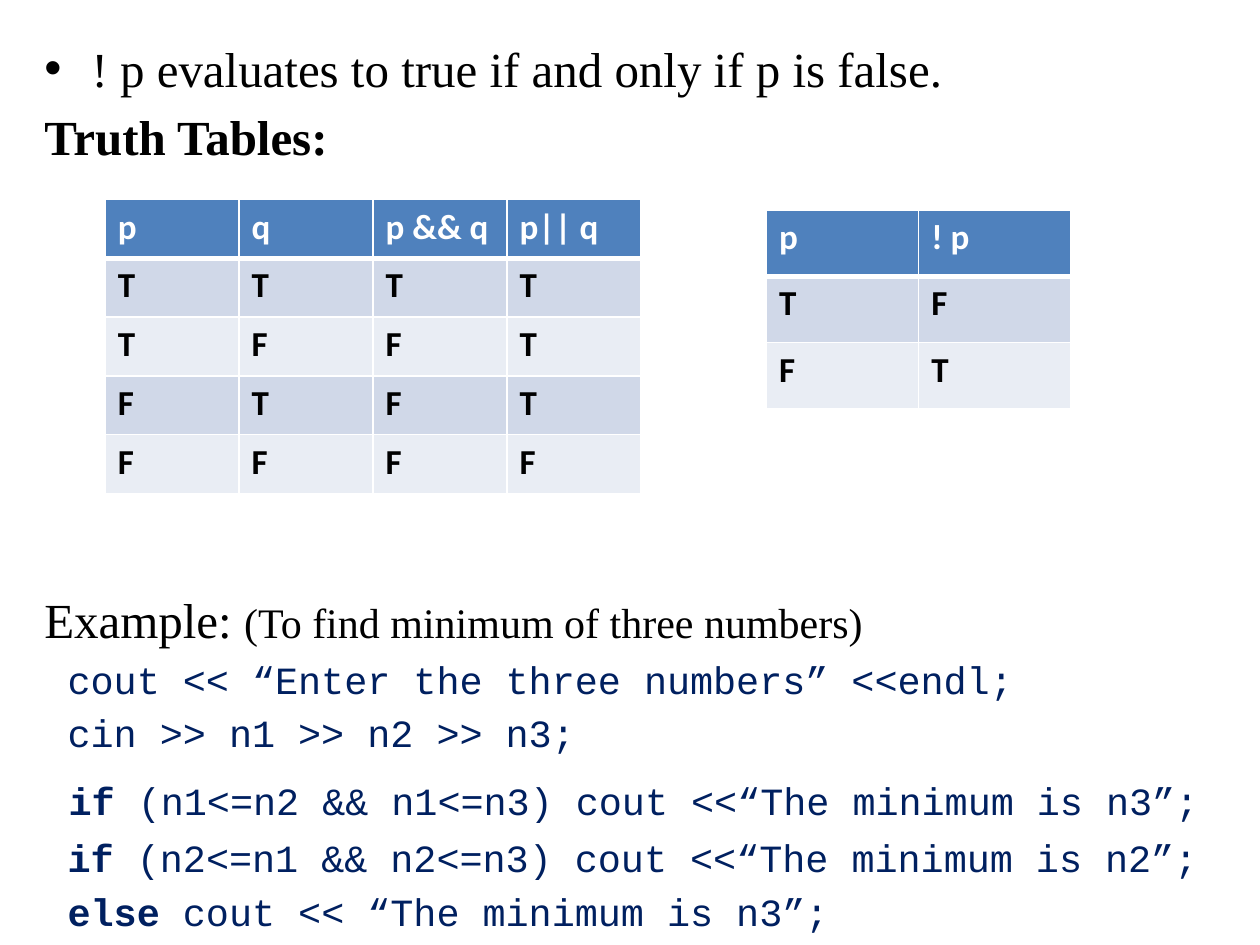
import pptx
import pptx.enum.text
import pptx.util
import pptx.dml.color
import pptx.oxml.ns
import lxml.etree

Cm, Pt = pptx.util.Cm, pptx.util.Pt
qn = pptx.oxml.ns.qn
COLORS = {"black": "000000", "white": "FFFFFF", "code": "002060",
          "header": "4F81BD", "odd": "D0D8E8", "even": "E9EDF4"}
SERIF, MONO, SANS = "Times New Roman", "Courier New", "Calibri"


def style_run(r, font, size, color, bold=False):
    r.font.name = font
    r.font.size = Pt(size)
    r.font.bold = bold
    r.font.color.rgb = pptx.dml.color.RGBColor.from_string(COLORS[color])


def add_truth_table(s, rows, left, top, width, height):
    shape = s.shapes.add_table(len(rows), len(rows[0]), Cm(left), Cm(top),
                               Cm(width), Cm(height))
    for i, row in enumerate(rows):
        fill = "header" if i == 0 else ("odd" if i % 2 else "even")
        for j, text in enumerate(row):
            cell = shape.table.cell(i, j)
            cell.text = text
            style_run(cell.text_frame.paragraphs[0].runs[0], SANS, 20,
                      "black" if i else "white", True)
            # White borders, with a thicker rule around the header's foot
            tcPr = cell._tc.get_or_add_tcPr()
            for side in ("lnL", "lnR", "lnT", "lnB"):
                thick = (i, side) in ((0, "lnB"), (1, "lnT"))
                ln = lxml.etree.SubElement(tcPr, qn("a:" + side),
                                           w=str(Pt(3 if thick else 1)))
                solid = lxml.etree.SubElement(ln, qn("a:solidFill"))
                lxml.etree.SubElement(solid, qn("a:srgbClr"), val=COLORS["white"])
            cell.fill.solid()
            cell.fill.fore_color.rgb = pptx.dml.color.RGBColor.from_string(COLORS[fill])


prs = pptx.Presentation()
prs.slide_width, prs.slide_height = Cm(25.4), Cm(19.05)
s = prs.slides.add_slide(prs.slide_layouts[1])
title = s.shapes.title._element
title.getparent().remove(title)

# Body text: bullet, indent in cm, space before in points, runs
body = s.placeholders[1]
body.left, body.top, body.width, body.height = Cm(0.64), Cm(0.64), Cm(24.33), Cm(17.78)
tf = body.text_frame
tf.word_wrap = True
tf.auto_size = pptx.enum.text.MSO_AUTO_SIZE.NONE
text = (SERIF, 28, "black")
code = (MONO, 22, "code")
lines = [
    (True, 0, None, [("! p evaluates to true if and only if p is false.", text, False)]),
    (False, 0, None, [("Truth Tables:", text, True)]),
    (False, 0, 242, [("Example: ", text, False),
                     ("(To find minimum of three numbers)", (SERIF, 24, "black"), False)]),
    (False, 0.47, None, [("cout << “Enter the three numbers” <<endl;", code, False)]),
    (False, 0.47, None, [("cin >> n1 >> n2 >> n3;", code, False)]),
    (False, 0.49, 12, [("if ", code, True),
                       ("(n1<=n2 && n1<=n3) cout <<“The minimum is n3”;", code, False)]),
    (False, 0.47, 6.5, [("if ", code, True),
                        ("(n2<=n1 && n2<=n3) cout <<“The minimum is n2”;", code, False)]),
    (False, 0.47, None, [("else ", code, True),
                         ("cout << “The minimum is n3”;", code, False)]),
]
for i, (bullet, indent, before, runs) in enumerate(lines):
    p = tf.add_paragraph() if i else tf.paragraphs[0]
    if before:
        p.space_before = Pt(before)
    if not bullet:
        pPr = p._p.get_or_add_pPr()
        pPr.set("marL", str(Cm(indent)))
        pPr.set("indent", "0")
        lxml.etree.SubElement(pPr, qn("a:buNone"))
    for words, look, bold in runs:
        r = p.add_run()
        r.text = words
        style_run(r, *look, bold)

# Truth tables
and_or = [["p", "q", "p && q", "p|| q"]]
for p_value in (True, False):
    for q_value in (True, False):
        values = (p_value, q_value, p_value and q_value, p_value or q_value)
        and_or.append(["T" if v else "F" for v in values])
add_truth_table(s, and_or, 2.12, 4.02, 10.8, 5.93)
add_truth_table(s, [["p", "! p"], ["T", "F"], ["F", "T"]], 15.45, 4.23, 6.14, 4.02)

prs.save("out.pptx")
